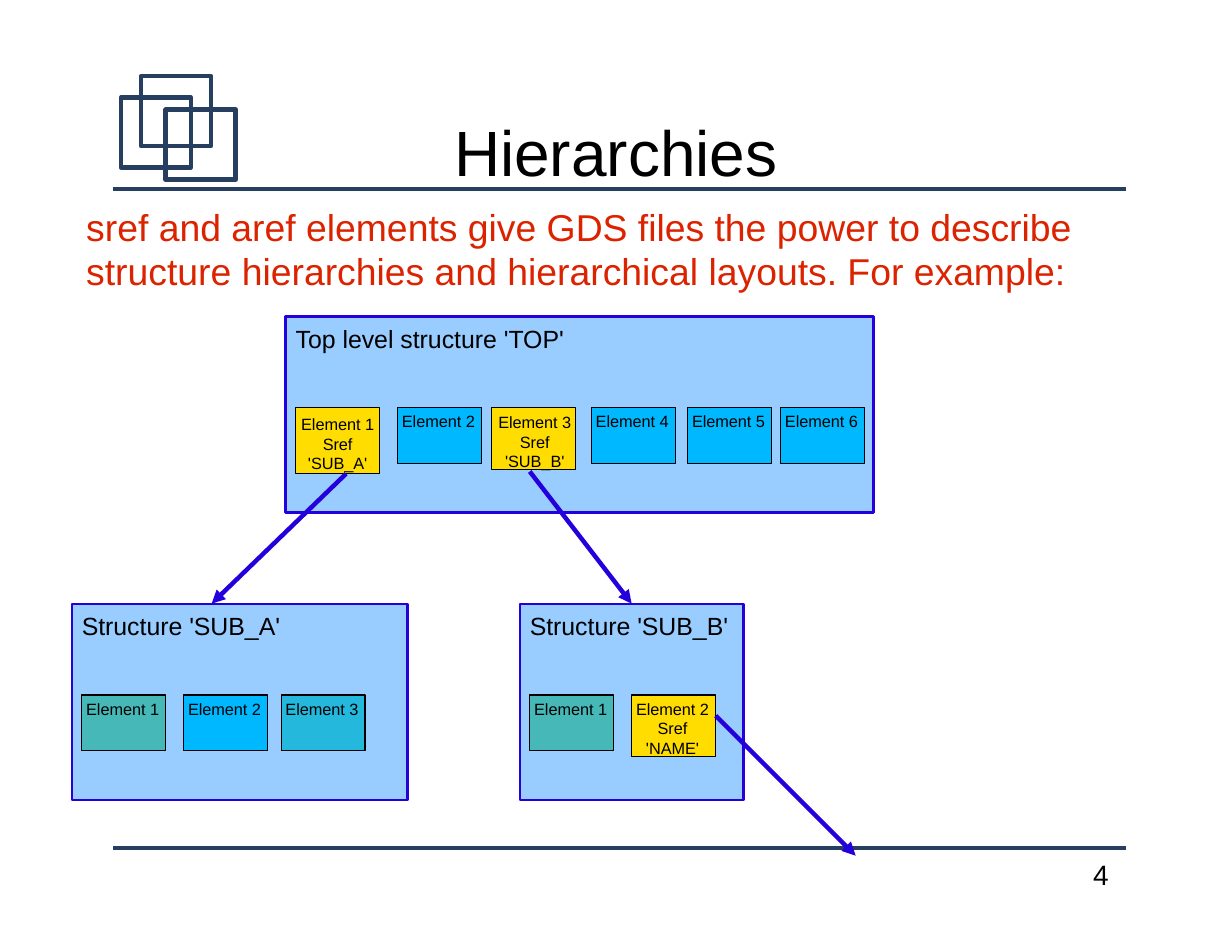
import lxml.etree
import pptx
import pptx.dml.color
import pptx.enum.shapes
import pptx.enum.text
import pptx.oxml.ns
import pptx.util

# The slide is a grid of 110 columns by 85 rows; all lengths are in grid cells.
COLUMNS, ROWS = 110, 85
CELL = pptx.util.Inches(0.1)

COLORS = {
    "black": "000000",
    "navy": "263E60",
    "red": "DC2300",
    "violet": "2300DC",
    "panel": "99CCFF",
    "yellow": "FFDD00",
    "blue": "00B8FF",
    "teal": "47B8B8",
    "cyan": "23B8DC",
}
ELEMENT_WIDTH, ELEMENT_HEIGHT = 7.5, 5
LABEL_WIDTH, LABEL_LINE = 7.1, 1.63
STRUCTURE_HEIGHT = 17.5
TOP_COLUMNS = (0.9, 10, 18.4, 27.3, 35.9, 44.2)
SUB_COLUMNS = (0.9, 10, 18.7)


def cells(*values):
    return [round(value * CELL) for value in values]


def color(name):
    return pptx.dml.color.RGBColor.from_string(COLORS[name])


def add_text(slide, text, box, size=10.5, fill="black", align="LEFT",
             anchor="TOP"):
    """Add a text box without margins; each line of text is a paragraph."""
    frame = slide.shapes.add_textbox(*cells(*box)).text_frame
    frame.margin_left = frame.margin_right = 0
    frame.margin_top = frame.margin_bottom = 0
    frame.word_wrap = True
    frame.vertical_anchor = pptx.enum.text.MSO_ANCHOR[anchor]
    frame.text = text
    for paragraph in frame.paragraphs:
        paragraph.alignment = pptx.enum.text.PP_ALIGN[align]
        paragraph.font.name = "Arial"
        paragraph.font.size = pptx.util.Pt(size)
        paragraph.font.color.rgb = color(fill)


def add_box(slide, box, line, width, fill=None):
    shape = slide.shapes.add_shape(
        pptx.enum.shapes.MSO_SHAPE.RECTANGLE, *cells(*box))
    shape.shadow.inherit = False
    if fill:
        shape.fill.solid()
        shape.fill.fore_color.rgb = color(fill)
    else:
        shape.fill.background()
    shape.line.color.rgb = color(line)
    shape.line.width = pptx.util.Pt(width)


def add_line(slide, start, end, line, arrow=False):
    """Add a straight line, with an optional arrowhead at its start."""
    connector = slide.shapes.add_connector(
        pptx.enum.shapes.MSO_CONNECTOR.STRAIGHT, *cells(*start, *end))
    connector.line.color.rgb = color(line)
    connector.line.width = pptx.util.Pt(2.85)
    if arrow:
        lxml.etree.SubElement(connector.line._get_or_add_ln(),
                              pptx.oxml.ns.qn("a:headEnd"), type="triangle")
    lxml.etree.SubElement(connector._element.spPr,
                          pptx.oxml.ns.qn("a:effectLst"))


def add_structure(slide, left, top, width, title, columns, elements):
    """Add a titled panel; elements are (text, fill, height, label inset)."""
    add_box(slide, (left, top, width, STRUCTURE_HEIGHT), "violet", 1.45, "panel")
    add_text(slide, title, (left + 0.9, top + 0.65, width - 1.2, 2.5), size=16)
    for column, (text, fill, height, inset) in zip(columns, elements):
        x, y = left + column, top + 8.15
        add_box(slide, (x, y, ELEMENT_WIDTH, height), "black", 0, fill)
        label_height = LABEL_LINE * len(text.split("\n"))
        add_text(slide, text,
                 (x + inset[0], y + inset[1], LABEL_WIDTH, label_height),
                 align="CENTER")


def element(text, fill="blue", height=ELEMENT_HEIGHT, inset=(0.1, 0.35)):
    return text, fill, height, inset


def reference(number, target, height=5.5, inset=(0.1, 0.35)):
    return element(f"Element {number}\nSref\n'{target}'", "yellow", height, inset)


def add_frame(slide):
    """Add the rules, the page number and the overlapping squares."""
    for y in (75.7, 16.9):
        add_line(slide, (10.1, y), (100.5, y), "navy")
    add_text(slide, "4", (97.6, 76.6, 3.7, 3.4), size=18)
    for x, y in ((10.8, 8.7), (12.6, 6.8), (14.8, 9.8)):
        add_box(slide, (x, y, 6.25, 6.25), "navy", 2.85)


def main():
    presentation = pptx.Presentation()
    presentation.slide_width, presentation.slide_height = cells(COLUMNS, ROWS)
    slide = presentation.slides.add_slide(presentation.slide_layouts[6])

    add_frame(slide)
    add_text(slide, "Hierarchies", (9, 7, 92, 12.9), size=41.1,
             align="CENTER", anchor="MIDDLE")
    add_text(slide, "sref and aref elements give GDS files the power to describe "
             "structure hierarchies and hierarchical layouts. For example:",
             (7.7, 18.2, 97, 7.4), size=24, fill="red")

    top_elements = [
        reference(1, "SUB_A", height=5.9, inset=(0.2, 0.6)),
        element("Element 2"),
        reference(3, "SUB_B", inset=(0.3, 0.4)),
        *(element(f"Element {number}") for number in (4, 5, 6)),
    ]
    add_structure(slide, 25.5, 28.25, 52.5, "Top level structure 'TOP'",
                  TOP_COLUMNS, top_elements)
    add_structure(slide, 6.4, 53.9, 30, "Structure 'SUB_A'", SUB_COLUMNS,
                  [element("Element 1", "teal"), element("Element 2"),
                   element("Element 3", "cyan")])
    add_structure(slide, 46.4, 53.9, 20, "Structure 'SUB_B'", SUB_COLUMNS,
                  [element("Element 1", "teal"), reference(2, "NAME")])

    for target, source in (((18.9, 53.9), (30.9, 42.3)),
                           ((56.4, 53.9), (47.3, 42.1)),
                           ((76.4, 76.4), (63.9, 63.9))):
        add_line(slide, target, source, "violet", arrow=True)

    presentation.save("out.pptx")


if __name__ == "__main__":
    main()
